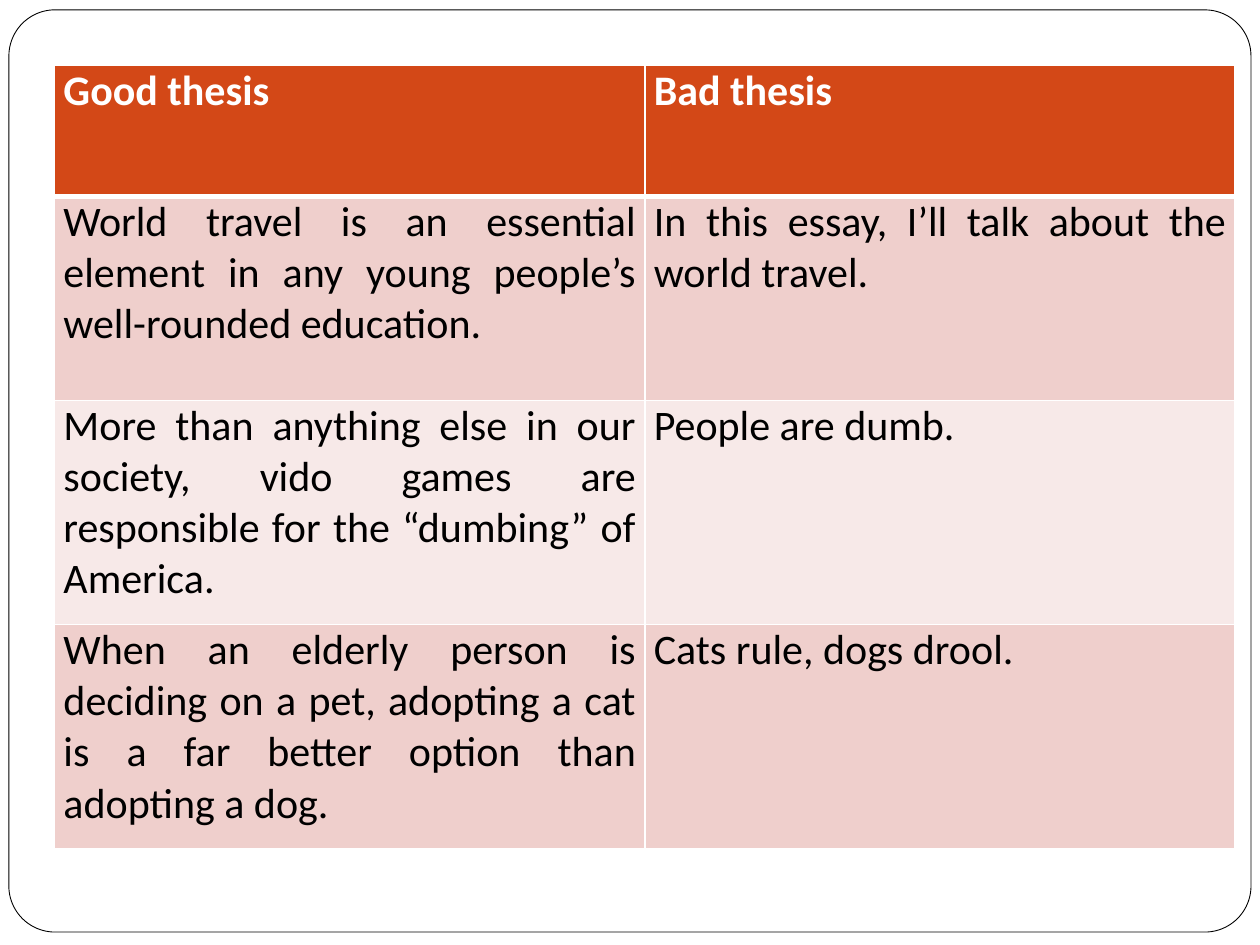
import pptx
import pptx.dml.color
import pptx.enum.shapes
import pptx.enum.text
import pptx.oxml
import pptx.oxml.ns
import pptx.util
from pptx.util import Cm

WHITE, BLACK, ORANGE = "FFFFFF", "000000", "D34817"
BANDS = ["EFCFCC", "F7E9E8"]
THESES = [
    ("Good thesis", "Bad thesis"),
    ("World travel is an essential element in any young people’s well-rounded education.",
     "In this essay, I’ll talk about the world travel."),
    ("More than anything else in our society, vido games are responsible for the “dumbing” of America.",
     "People are dumb."),
    ("When an elderly person is deciding on a pet, adopting a cat is a far better option than adopting a dog.",
     "Cats rule, dogs drool."),
]
ROW_HEIGHTS = [2.64, 4.11, 4.52, 4.52]


def paint(target, color):
    """Give a fill one solid colour."""
    target.solid()
    target.fore_color.rgb = pptx.dml.color.RGBColor.from_string(color)


def add_frame(slide, left, top, width, height):
    """Draw the rounded frame in the given box."""
    frame = slide.shapes.add_shape(
        pptx.enum.shapes.MSO_SHAPE.ROUNDED_RECTANGLE, left, top, width, height)
    frame.adjustments[0] = 0.05
    frame.shadow.inherit = False
    paint(frame.fill, WHITE)
    paint(frame.line.fill, BLACK)
    frame.line.width = pptx.util.Pt(0.5)


def set_borders(cell, widths):
    """Draw white cell borders with the given side widths in points."""
    properties = cell._tc.get_or_add_tcPr()
    for side, width in widths.items():
        properties.append(pptx.oxml.parse_xml(
            f'<a:ln{side} {pptx.oxml.ns.nsdecls("a")} w="{pptx.util.Pt(width)}">'
            f'<a:solidFill><a:srgbClr val="{WHITE}"/></a:solidFill></a:ln{side}>'))


def fill_cell(cell, wording, row):
    """Write and format one cell according to its row."""
    header = row == 0
    set_borders(cell, {"L": 1, "R": 1, "T": 3 if row == 1 else 1, "B": 3 if header else 1})
    paint(cell.fill, ORANGE if header else BANDS[(row - 1) % 2])
    cell.margin_left = cell.margin_right = Cm(0.18)
    cell.margin_top = cell.margin_bottom = 0
    cell.text = wording
    paragraph = cell.text_frame.paragraphs[0]
    paragraph.alignment = pptx.enum.text.PP_ALIGN.JUSTIFY
    paragraph.font.name = "Calibri"
    paragraph.font.size = pptx.util.Pt(24)
    paragraph.font.bold = header
    paint(paragraph.font.fill, WHITE if header else BLACK)


def add_comparison(slide, left, top, width, height):
    """Place the table of good and bad theses in the given box."""
    comparison = slide.shapes.add_table(
        len(THESES), len(THESES[0]), left, top, width, height).table
    for row, (theses, row_height) in enumerate(zip(THESES, ROW_HEIGHTS)):
        comparison.rows[row].height = Cm(row_height)
        for column, wording in enumerate(theses):
            fill_cell(comparison.cell(row, column), wording, row)


def main():
    """Build and save the slide."""
    deck = pptx.Presentation()
    deck.slide_width, deck.slide_height = Cm(25.4), Cm(19.05)
    slide = deck.slides.add_slide(deck.slide_layouts.get_by_name("Blank"))
    paint(slide.background.fill, WHITE)
    add_frame(slide, Cm(0.18), Cm(0.2), Cm(25.04), Cm(18.59))
    add_comparison(slide, Cm(1.1), Cm(1.32), Cm(23.8), Cm(sum(ROW_HEIGHTS)))
    deck.save("out.pptx")


if __name__ == "__main__":
    main()
